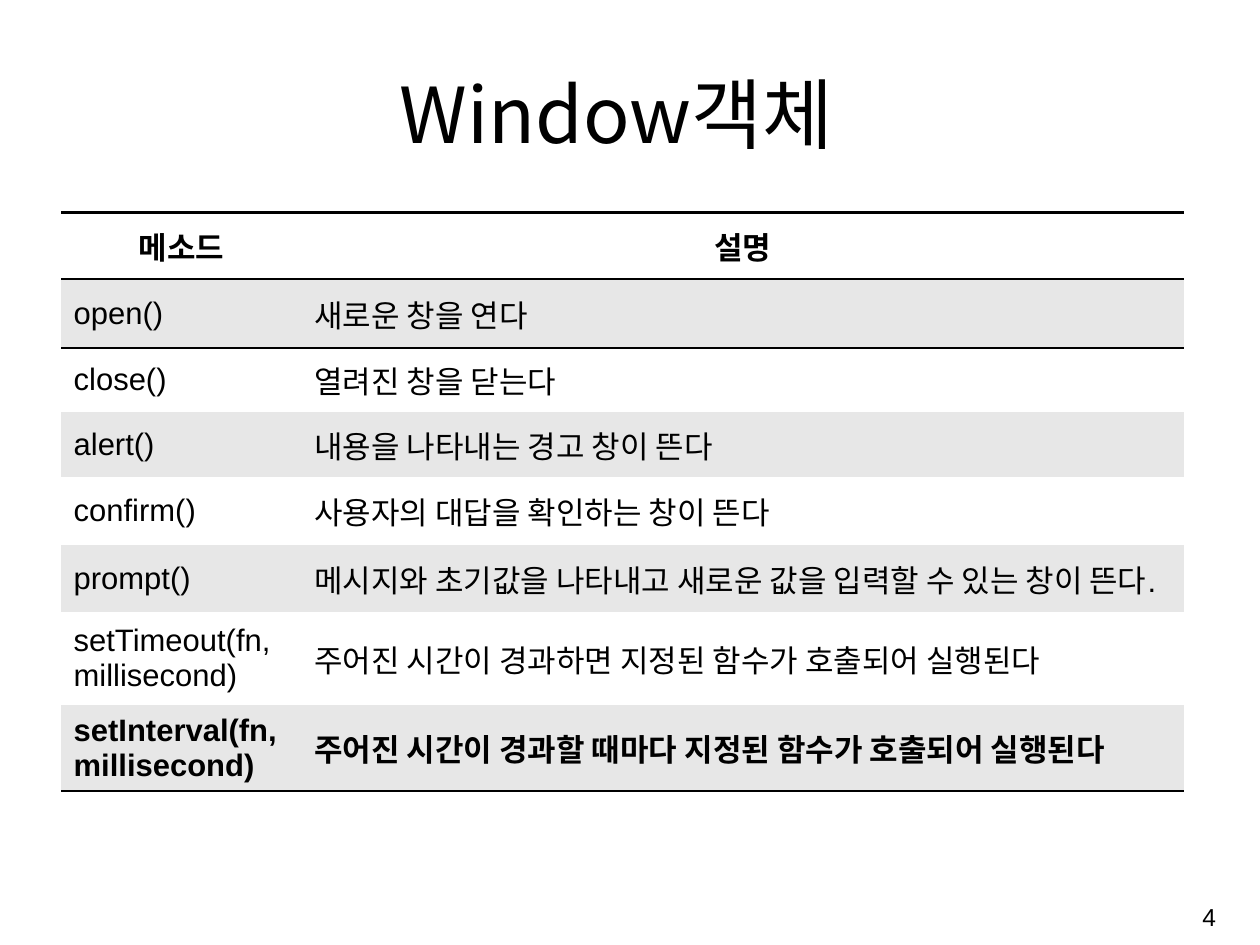
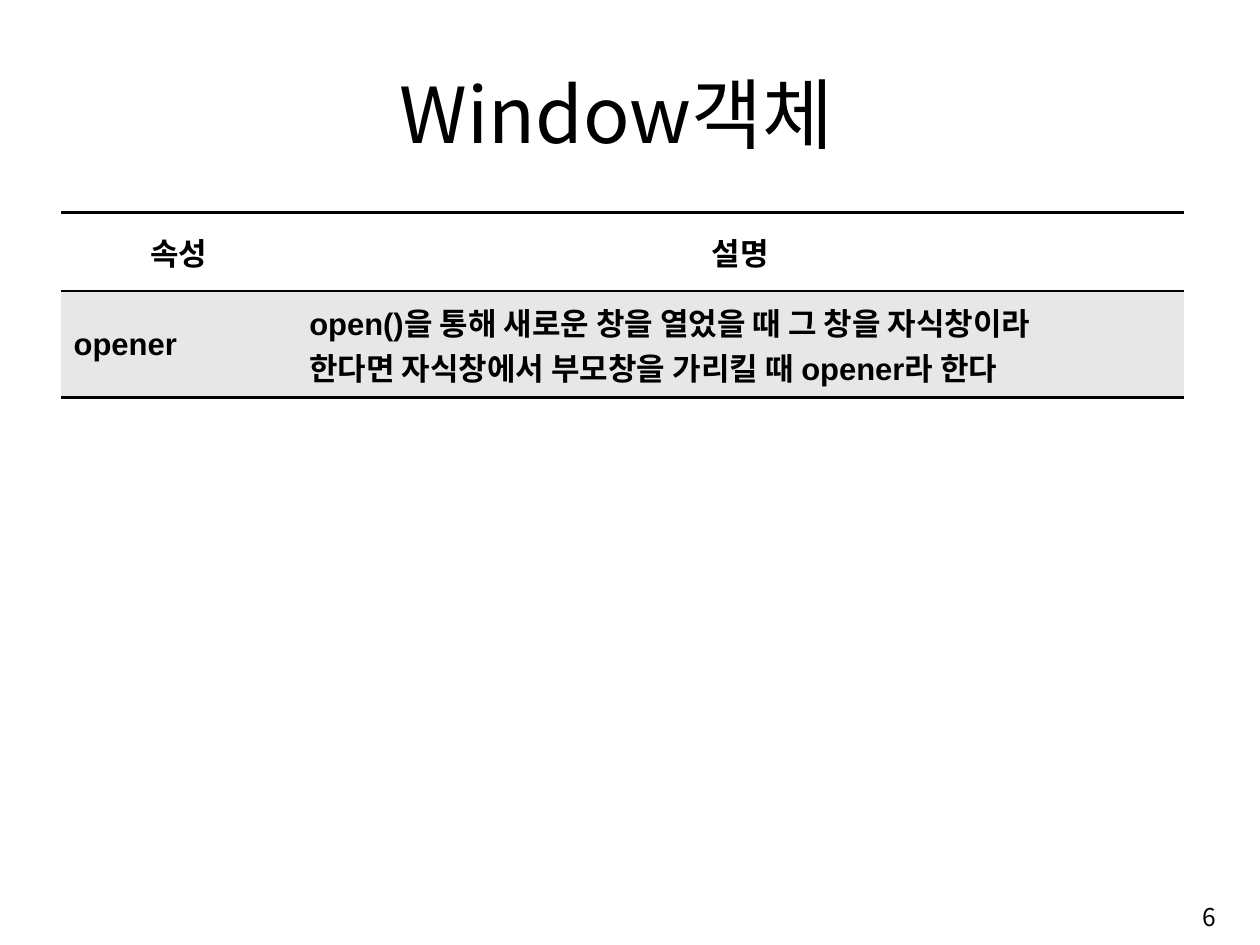
import dataclasses

import pptx
import pptx.dml.color
import pptx.enum.text
import pptx.oxml.ns
import pptx.util
from lxml import etree

Cm = pptx.util.Cm
Pt = pptx.util.Pt
RGBColor = pptx.dml.color.RGBColor
PP_ALIGN = pptx.enum.text.PP_ALIGN
ANCHOR = pptx.enum.text.MSO_ANCHOR
qn = pptx.oxml.ns.qn


@dataclasses.dataclass(frozen=True)
class Theme:
    ink: RGBColor = RGBColor(0, 0, 0)
    plain: RGBColor = RGBColor(255, 255, 255)
    band: RGBColor = RGBColor(0xE7, 0xE7, 0xE7)
    latin: str = "Arial"
    korean: str = "Noto Sans CJK KR"
    title_size: float = 57.2
    table_size: float = 23
    number_size: float = 18.2
    rule_width: float = 2


theme = Theme()
NO_STYLE_NO_GRID = "{2D5ABB26-0587-4C30-8999-92F81FD0307C}"

slides = [
    {
        "number": "4",
        "number_font": theme.latin,
        "columns": [6.3, 23.11],
        "heights": [1.75, 1.8, 1.68, 1.7, 1.78, 1.75, 2.44, 2.16],
        "bold_rows": {0, 7},
        "rows": [
            ("메소드", "설명"),
            ("open()", "새로운 창을 연다"),
            ("close()", "열려진 창을 닫는다"),
            ("alert()", "내용을 나타내는 경고 창이 뜬다"),
            ("confirm()", "사용자의 대답을 확인하는 창이 뜬다"),
            ("prompt()", "메시지와 초기값을 나타내고 새로운 값을 입력할 수 있는 창이 뜬다."),
            ("setTimeout(fn, millisecond)", "주어진 시간이 경과하면 지정된 함수가 호출되어 실행된다"),
            ("setInterval(fn, millisecond)", "주어진 시간이 경과할 때마다 지정된 함수가 호출되어 실행된다"),
        ],
    },
    {
        "number": "6",
        "number_font": theme.korean,
        "columns": [6.17, 23.24],
        "heights": [2.06, 2.79],
        "bold_rows": {0, 1},
        "rows": [
            ("속성", "설명"),
            ("opener", "open()을 통해 새로운 창을 열었을 때 그 창을 자식창이라\n"
                       "한다면 자식창에서 부모창을 가리킬 때 opener라 한다"),
        ],
    },
]


def format_paragraph(para, size, latin, align, bold=False):
    para.alignment = align
    para.font.size = Pt(size)
    para.font.bold = bold
    para.font.color.rgb = theme.ink
    para.font.name = latin
    defaults = para._p.get_or_add_pPr().find(qn("a:defRPr"))
    etree.SubElement(defaults, qn("a:ea"), typeface=theme.korean)


def add_rules(cell, sides):
    """Draw rules on the given sides (lnT before lnB); call before filling the cell."""
    properties = cell._tc.get_or_add_tcPr()
    for side in sides:
        line = etree.SubElement(properties, qn("a:" + side), w=str(Pt(theme.rule_width)))
        fill = etree.SubElement(line, qn("a:solidFill"))
        etree.SubElement(fill, qn("a:srgbClr"), val=str(theme.ink))


deck = pptx.Presentation()
deck.slide_width, deck.slide_height = Cm(33), Cm(24.74)
title_only = deck.slide_layouts[5]

for content in slides:
    slide = deck.slides.add_slide(title_only)

    title = slide.shapes.title
    title.left, title.top, title.width, title.height = Cm(2.67), Cm(1.55), Cm(26.95), Cm(2.74)
    title.text_frame.text = "Window객체"
    title.text_frame.auto_size = pptx.enum.text.MSO_AUTO_SIZE.NONE
    title.text_frame.vertical_anchor = ANCHOR.BOTTOM
    format_paragraph(title.text_frame.paragraphs[0], theme.title_size, theme.korean, PP_ALIGN.CENTER)

    number = slide.shapes.add_textbox(Cm(25.35), Cm(23.24), Cm(6.8), Cm(1.52)).text_frame
    number.word_wrap = True
    number.vertical_anchor = ANCHOR.MIDDLE
    number.margin_right = Cm(0.3)
    number.text = content["number"]
    format_paragraph(number.paragraphs[0], theme.number_size, content["number_font"], PP_ALIGN.RIGHT)

    rows, columns, heights = content["rows"], content["columns"], content["heights"]
    frame = slide.shapes.add_table(
        len(rows), len(columns), Cm(1.6), Cm(5.56), Cm(sum(columns)), Cm(sum(heights)))
    table = frame.table
    table.first_row = table.horz_banding = False
    table._tbl.tblPr.find(qn("a:tableStyleId")).text = NO_STYLE_NO_GRID
    for column, width in zip(table.columns, columns):
        column.width = Cm(width)

    last = len(rows) - 1
    for index, texts in enumerate(rows):
        table.rows[index].height = Cm(heights[index])
        sides = ["lnT"] if index <= 1 else []
        if index in (0, last):
            sides.append("lnB")
        align = PP_ALIGN.CENTER if index == 0 else PP_ALIGN.LEFT
        for cell, text in zip(table.rows[index].cells, texts):
            add_rules(cell, sides)
            cell.fill.solid()
            cell.fill.fore_color.rgb = theme.band if index % 2 else theme.plain
            cell.vertical_anchor = ANCHOR.MIDDLE
            cell.margin_left = cell.margin_right = Cm(0.33)
            cell.margin_top = cell.margin_bottom = Cm(0.15)
            cell.text_frame.text = text
            for para in cell.text_frame.paragraphs:
                format_paragraph(para, theme.table_size, theme.latin, align, index in content["bold_rows"])

deck.save("out.pptx")
